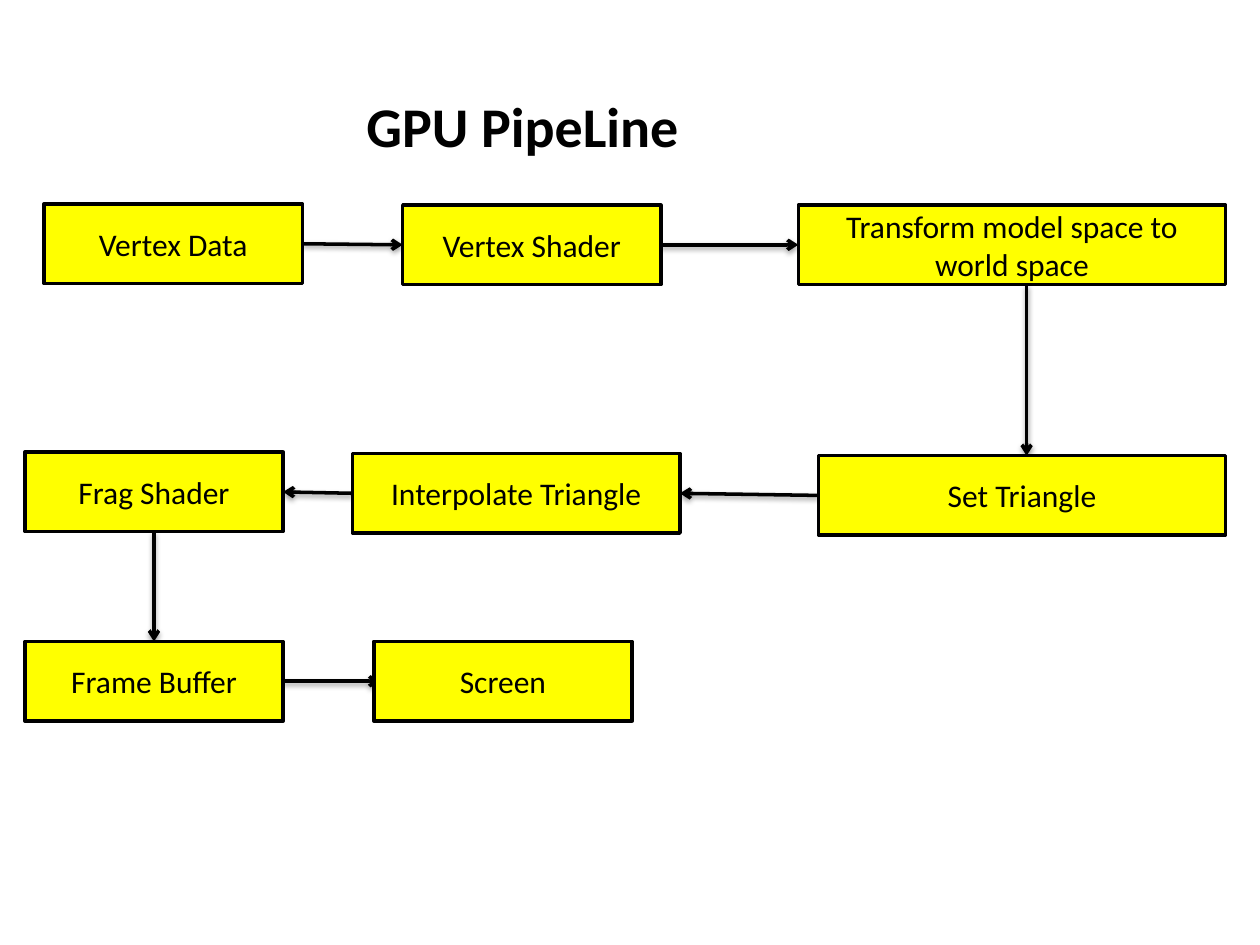
"""Build the GPU pipeline flow chart slide."""
from lxml import etree
from pptx import Presentation
from pptx.dml.color import RGBColor
from pptx.enum import shapes, text
from pptx.oxml import ns
from pptx.util import Pt

TITLE = "GPU PipeLine"
HIGH = 45.4
BOXES = {
    "Vertex Data": (25.2, 116.6, 147.6),
    "Vertex Shader": (230.1, 117.2, 147.6),
    "Transform model space to world space": (456.2, 117.2, 244.1),
    "Set Triangle": (467.8, 260.4, 232.5),
    "Interpolate Triangle": (201.4, 259.2, 187.2),
    "Frag Shader": (14.2, 258.4, 147.6),
    "Frame Buffer": (14.2, 366.6, 147.6),
    "Screen": (213.6, 366.6, 147.6),
}
# way out of each box, and sideways shift of the arrow
WAYS = [("right", 0), ("right", 0), ("down", 2.6), ("left", 0),
        ("left", 0), ("down", 0), ("right", 3.6)]


def color(code):
    return RGBColor.from_string(code)


def style(para, size, bold=False):
    font = para.font
    font.name, font.size, font.bold = "Calibri", Pt(size), bold
    font.color.rgb = color("000000")


def ends(src, dst, way, shift):
    (x, y, w), (p, q, v) = src, dst
    if way == "down":
        mid = p + v / 2 + shift
        return mid, y + HIGH, mid, q
    start, stop = (x + w, p) if way == "right" else (x, p + v)
    return start, y + HIGH / 2, stop + shift, q + HIGH / 2


def arrow(tree, pts):
    link = tree.add_connector(shapes.MSO_CONNECTOR.STRAIGHT, *map(Pt, pts))
    link.line.color.rgb = color("000000")
    link.line.width = Pt(2)
    etree.SubElement(link.line._get_or_add_ln(), ns.qn("a:tailEnd"), type="arrow")
    glow = etree.SubElement(link._element.spPr, ns.qn("a:effectLst"))
    cast = etree.SubElement(glow, ns.qn("a:outerShdw"), blurRad=str(Pt(3.1)),
                            dist=str(Pt(1.6)), dir="5400000", rotWithShape="0")
    tint = etree.SubElement(cast, ns.qn("a:srgbClr"), val="000000")
    etree.SubElement(tint, ns.qn("a:alpha"), val="38000")


def box(tree, label, x, y, w):
    rect = tree.add_shape(shapes.MSO_SHAPE.RECTANGLE, *map(Pt, (x, y, w, HIGH)))
    rect.shadow.inherit = False
    rect.fill.solid()
    rect.fill.fore_color.rgb = color("FFFF00")
    rect.line.color.rgb = color("000000")
    rect.line.width = Pt(2)
    frame = rect.text_frame
    frame.text = label
    frame.word_wrap = True
    frame.vertical_anchor = text.MSO_ANCHOR.MIDDLE
    para = frame.paragraphs[0]
    para.alignment = text.PP_ALIGN.CENTER
    style(para, 18)


deck = Presentation()
deck.slide_width, deck.slide_height = Pt(720), Pt(540)
tree = deck.slides.add_slide(deck.slide_layouts[6]).shapes

head = tree.add_textbox(Pt(202.3), Pt(49), Pt(194.4), Pt(46)).text_frame
head.word_wrap = False
head.auto_size = text.MSO_AUTO_SIZE.SHAPE_TO_FIT_TEXT
head.text = TITLE
style(head.paragraphs[0], 32, True)

spots = list(BOXES.values())
for src, dst, (way, shift) in zip(spots, spots[1:], WAYS):
    arrow(tree, ends(src, dst, way, shift))
for label, spot in BOXES.items():
    box(tree, label, *spot)

deck.save("out.pptx")
